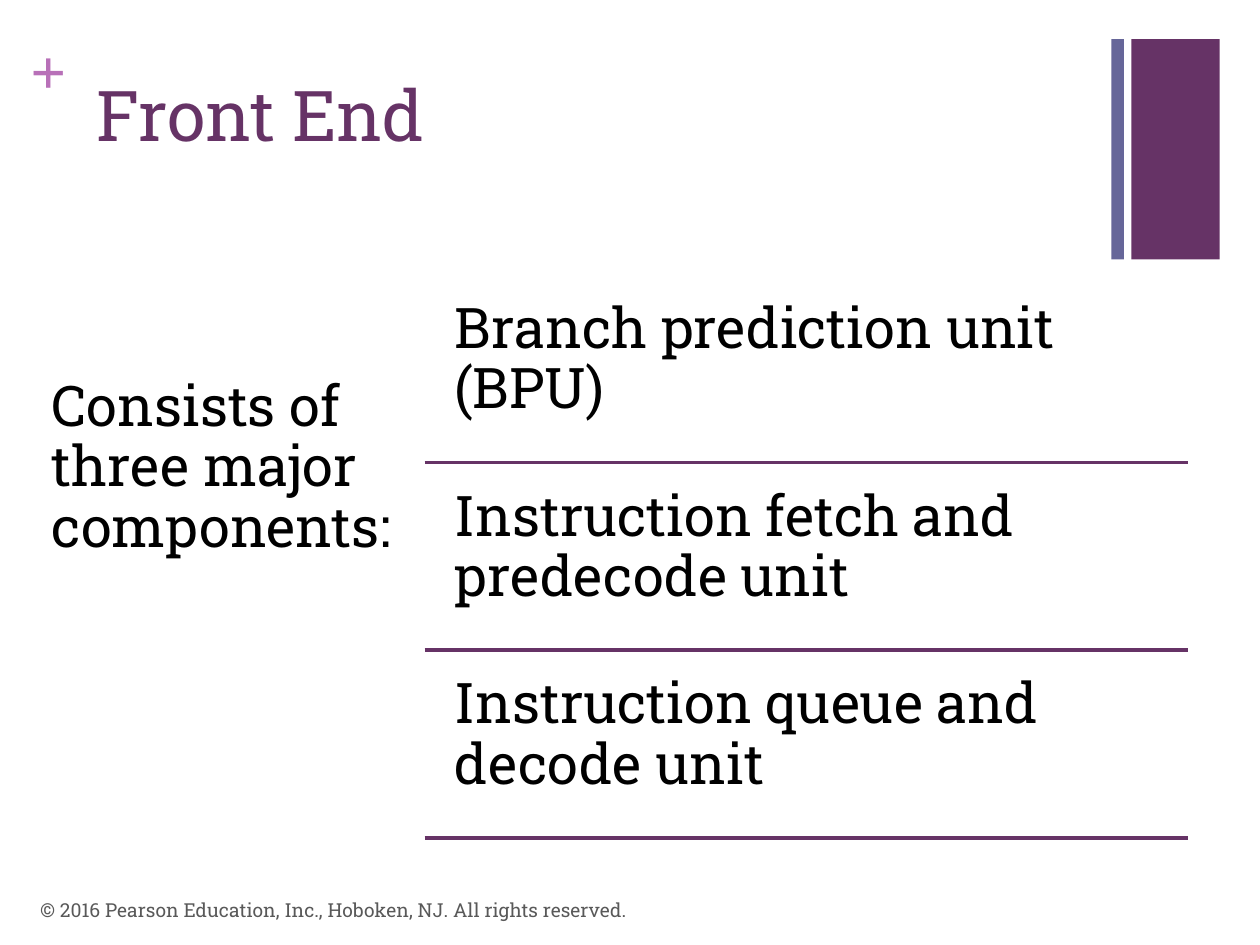
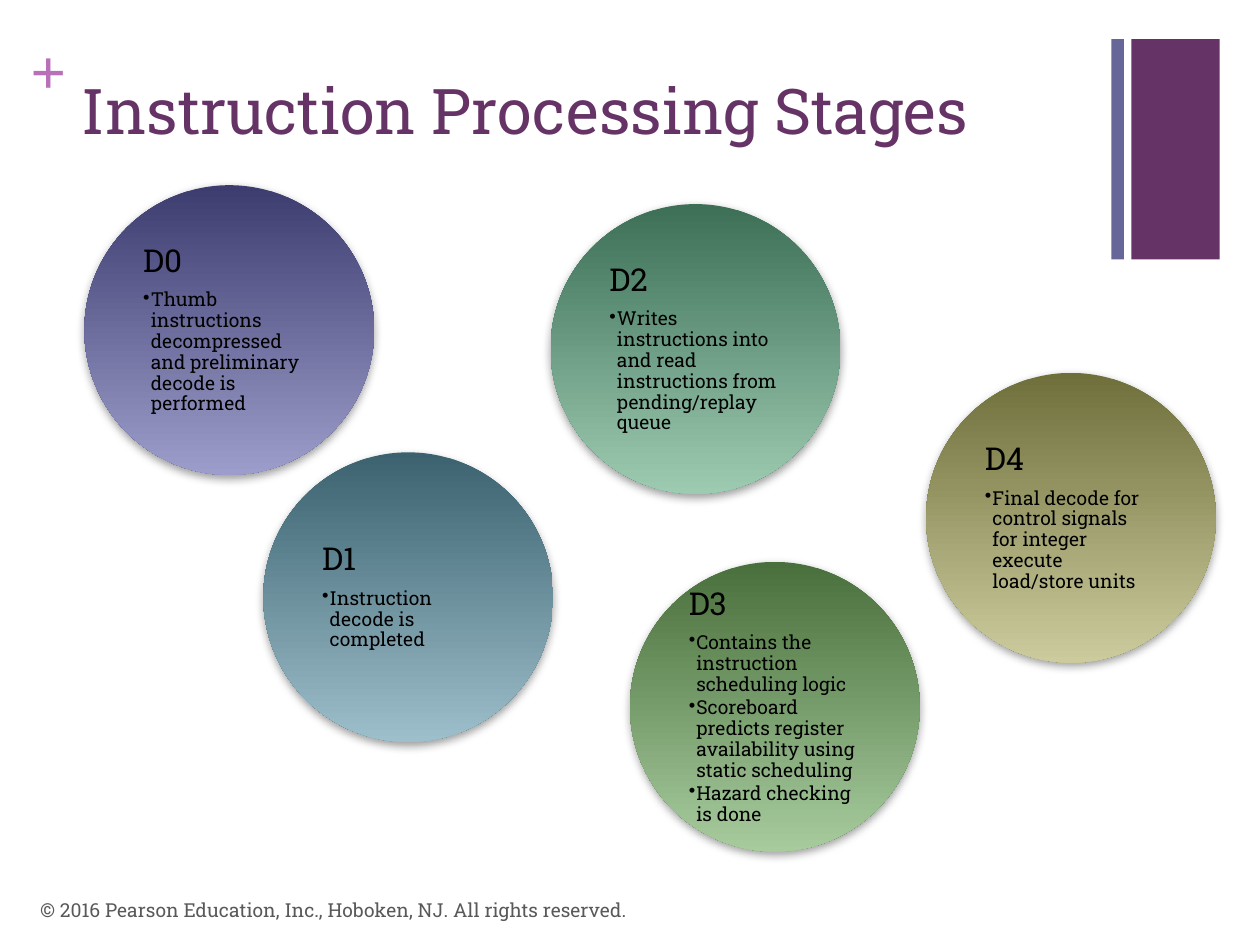
from dataclasses import dataclass

from lxml import etree
from pptx import Presentation
from pptx.dml.color import RGBColor
from pptx.enum.shapes import MSO_CONNECTOR, MSO_SHAPE
from pptx.enum.text import MSO_ANCHOR
from pptx.oxml import parse_xml
from pptx.oxml.ns import nsdecls, qn
from pptx.util import Inches, Pt

RECTANGLE, OVAL = MSO_SHAPE.RECTANGLE, MSO_SHAPE.OVAL
STRAIGHT = MSO_CONNECTOR.STRAIGHT
TOP, MIDDLE = MSO_ANCHOR.TOP, MSO_ANCHOR.MIDDLE

COLUMNS, ROWS = 100, 75  # the grid on every slide
INSCRIBED = 0.5 ** 0.5   # side of the square inside a circle, per diameter


@dataclass(frozen=True)
class Theme:
    font: str = "Roboto Slab"
    plus_font: str = "Times New Roman"
    primary: str = "663366"
    secondary: str = "666699"
    plus: str = "B870B8"
    body: str = "000000"
    muted: str = "595959"
    shadow: str = "808080"
    title_size: int = 40
    long_title_size: int = 36
    plus_size: int = 36
    body_size: int = 32
    stage_size: int = 18
    small_size: int = 11
    tight: float = 0.9


class SlideBuilder:
    """Draws styled elements on the current slide, in grid units."""

    def __init__(self, deck, theme):
        self.deck, self.theme = deck, theme
        self.column = deck.slide_width / COLUMNS
        self.row = deck.slide_height / ROWS
        self.page = None

    def place(self, left, top, width, height):
        return (round(left * self.column), round(top * self.row),
                round(width * self.column), round(height * self.row))

    def new_page(self, title, left, size):
        self.page = self.deck.slides.add_slide(self.deck.slide_layouts[6])
        theme = self.theme
        # Corner bands and plus sign
        self.band(89.8, 7, theme.primary)
        plus = self.text_box(2.4, 2.5, 2.9, 6.1, margins=(0, 0))
        self.paragraph(plus, "+", theme.plus_size, theme.plus, font=theme.plus_font, bold=True)
        self.band(88.2, 1, theme.secondary)
        # Title and footer
        heading = self.text_box(left, 5.2, 82.6, 12.2)
        self.paragraph(heading, title, size, theme.primary)
        footer = self.text_box(2.2, 70.2, 67, 4, anchor=MIDDLE)
        self.paragraph(footer, "© 2016 Pearson Education, Inc., Hoboken, NJ. All rights reserved.",
                       theme.small_size, theme.muted)

    def shape(self, kind, *area):
        shape = self.page.shapes.add_shape(kind, *self.place(*area))
        shape.shadow.inherit = False
        shape.line.fill.background()
        return shape

    def band(self, left, width, colour):
        band = self.shape(RECTANGLE, left, 3.1, width, 17.5)
        band.fill.solid()
        band.fill.fore_color.rgb = RGBColor.from_string(colour)

    def text_box(self, *area, margins=(0.1, 0.05), anchor=TOP):
        box = self.page.shapes.add_textbox(*self.place(*area))
        frame = box.text_frame
        frame.word_wrap = True
        frame.vertical_anchor = anchor
        frame.margin_left = frame.margin_right = Inches(margins[0])
        frame.margin_top = frame.margin_bottom = Inches(margins[1])
        return frame

    def paragraph(self, frame, text, size, colour, font=None, bold=False,
                  spacing=None, after=0, bullet=False):
        first = frame.paragraphs[0]
        para = first if not first.runs else frame.add_paragraph()
        para.add_run().text = text
        if bullet:
            properties = para._p.get_or_add_pPr()
            indent = Inches(0.06)
            properties.set("marL", str(indent))
            properties.set("indent", str(-indent))
            etree.SubElement(properties, qn("a:buChar"), char="•")
        if spacing:
            para.line_spacing = spacing
        para.space_after = Pt(round(after * size, 1))
        para.font.name = font or self.theme.font
        para.font.size = Pt(size)
        para.font.bold = bold
        para.font.color.rgb = RGBColor.from_string(colour)

    def statement(self, text, *area):
        frame = self.text_box(*area, margins=(0.13, 0.13))
        self.paragraph(frame, text, self.theme.body_size, self.theme.body,
                       spacing=self.theme.tight)

    def rule(self, left, right, top):
        x, y, width, _ = self.place(left, top, right - left, 0)
        line = self.page.shapes.add_connector(STRAIGHT, x, y, x + width, y)
        line.line.color.rgb = RGBColor.from_string(self.theme.primary)
        line.line.width = Pt(2)
        etree.SubElement(line._element.spPr, qn("a:effectLst"))

    def stage(self, name, points, left, top, dark, light, diameter=23):
        # Shaded circle
        circle = self.shape(OVAL, left, top, diameter, diameter)
        circle.fill.gradient()
        circle.fill.gradient_angle = 270
        for stop, colour in zip(circle.fill.gradient_stops, (dark, light)):
            stop.color.rgb = RGBColor.from_string(colour)
        effects = circle._element.spPr.find(qn("a:effectLst"))
        effects.append(parse_xml(
            f'<a:outerShdw {nsdecls("a")} blurRad="{Pt(5)}" dist="{Pt(2)}" dir="5400000" '
            f'rotWithShape="0"><a:srgbClr val="{self.theme.shadow}">'
            '<a:alpha val="75000"/></a:srgbClr></a:outerShdw>'))
        # Text in the square inside the circle
        side = diameter * INSCRIBED
        gap = (diameter - side) / 2
        frame = self.text_box(left + gap, top + gap, side, side,
                              margins=(0.13, 0.03), anchor=MIDDLE)
        theme = self.theme
        self.paragraph(frame, name, theme.stage_size, theme.body,
                       spacing=theme.tight, after=0.35)
        for point in points:
            self.paragraph(frame, point, theme.small_size, theme.body,
                           spacing=theme.tight, after=0.15, bullet=True)


def front_end(builder):
    builder.new_page("Front End", 6.7, builder.theme.title_size)
    builder.statement("Consists of three major components:", 2.8, 28.7, 30.9, 38.4)
    components = ("Branch prediction unit (BPU)",
                  "Instruction fetch and predecode unit",
                  "Instruction queue and decode unit")
    first_top, height, step = 22.5, 14.2, 14.9
    for index, component in enumerate(components):
        top = first_top + index * step
        builder.statement(component, 34.8, top, 59.5, height)
        builder.rule(33.7, 94.3, top + height)


def processing_stages(builder):
    builder.new_page("Instruction Processing Stages", 5.5, builder.theme.long_title_size)
    stages = (
        (("Thumb instructions decompressed and preliminary decode is performed",),
         6.7, 14.7, "3C3C6F", "9D9DCB"),
        (("Instruction decode is completed",),
         20.9, 35.9, "3C626F", "9DBECB"),
        (("Writes instructions into and read instructions from pending/replay queue",),
         43.7, 16.2, "3C6F56", "9DCBB2"),
        (("Contains the instruction scheduling logic",
          "Scoreboard predicts register availability using static scheduling",
          "Hazard checking is done"),
         50, 44.6, "496F3C", "A7CB9D"),
        (("Final decode for control signals for integer execute load/store units",),
         73.5, 29.6, "6F6F3C", "CBCB9D"),
    )
    for number, stage in enumerate(stages):
        builder.stage(f"D{number}", *stage)


def main():
    deck = Presentation()
    deck.slide_width, deck.slide_height = Inches(10), Inches(7.5)
    builder = SlideBuilder(deck, Theme())
    front_end(builder)
    processing_stages(builder)
    deck.save("out.pptx")


if __name__ == "__main__":
    main()
